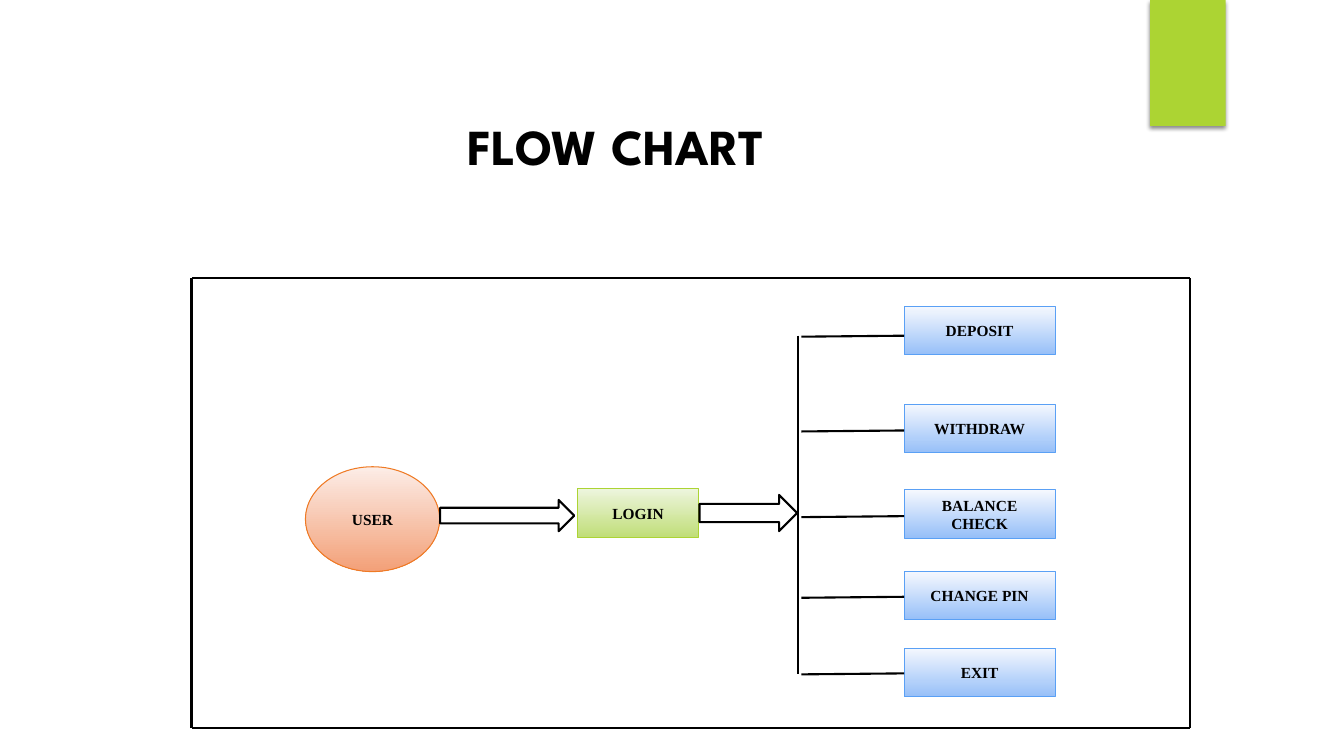
"""Build the flow chart slide: a user logs in and picks one of five actions."""
from dataclasses import dataclass
from itertools import pairwise

from lxml.etree import SubElement
from pptx import Presentation
from pptx.dml.color import RGBColor
from pptx.enum.shapes import MSO_CONNECTOR as Connector, MSO_SHAPE as Shape
from pptx.enum.text import MSO_ANCHOR as Anchor, PP_ALIGN as Align
from pptx.oxml.ns import qn
from pptx.util import Pt


@dataclass(frozen=True)
class Theme:
    """Colours, fonts and sizes of the slide."""
    ink: str = "000000"
    paper: str = "FFFFFF"
    accent: str = "ACD433"
    user: tuple = ("FCEDE7", "F3A078", "EF7A24")
    login: tuple = ("EDF5DD", "C0DE78", "ACD433")
    action: tuple = ("F5F8FE", "96BFF8", "5AA0F5")
    title_font: str = "League Spartan"
    label_font: str = "Times New Roman"
    title_size: int = 36
    label_size: int = 11
    thin: float = 0.75
    thick: float = 1.5


theme = Theme()
TITLE = "FLOW CHART"
TITLE_BOX = (90.7, 76.3, 689.8, 55.4)
TITLE_INDENT = 243
TAG_BOX = (821.5, 0, 54, 90)
STEPS = [
    ("USER", Shape.OVAL, (218.2, 333.4, 95.8, 74.9), theme.user),
    ("LOGIN", Shape.RECTANGLE, (412.6, 349.2, 86.4, 34.6), theme.login),
]
ARROWS = [(314.4, 357.1, 95.8, 22.3), (499.7, 353.5, 69.8, 25.9)]
ACTIONS = [
    ("DEPOSIT", 218.9, 240.5),
    ("WITHDRAW", 288.7, 308.2),
    ("BALANCE CHECK", 349.9, 369.4),
    ("CHANGE PIN", 408.2, 427),
    ("EXIT", 463, 481.7),
]
ACTION_LEFT, ACTION_WIDTH, ACTION_HEIGHT = 645.8, 108, 34.6
TRUNK_X, BRANCH_X, BRANCH_RISE = 570.2, 572.4, 0.7
FRAME_LEFT, FRAME_TOP, FRAME_RIGHT, FRAME_BOTTOM = 136.8, 198.7, 850.3, 519.8


def colour(code):
    return RGBColor.from_string(code)


def apply(target, values):
    for name, value in values.items():
        setattr(target, name, value)


def write(shape, text, font, size, align, **frame_values):
    frame = shape.text_frame
    apply(frame, {"word_wrap": True, "vertical_anchor": Anchor.MIDDLE, **frame_values})
    para = frame.paragraphs[0]
    para.alignment = align
    span = para.add_run()
    span.text = text
    apply(span.font, {"name": font, "size": Pt(size), "bold": True})
    span.font.color.rgb = colour(theme.ink)


def add_shape(kind, box, fill, line=None, width=theme.thin):
    shape = page.shapes.add_shape(kind, *map(Pt, box))
    shape.shadow.inherit = False
    if isinstance(fill, str):
        shape.fill.solid()
        shape.fill.fore_color.rgb = colour(fill)
    else:
        shape.fill.gradient()
        shape.fill.gradient_angle = 270
        for stop, code in zip(shape.fill.gradient_stops, fill):
            stop.color.rgb = colour(code)
    if line:
        shape.line.color.rgb = colour(line)
        shape.line.width = Pt(width)
    else:
        shape.line.fill.background()
    return shape


def add_step(text, kind, box, colours):
    top, bottom, edge = colours
    shape = add_shape(kind, box, (top, bottom), edge)
    write(shape, text, theme.label_font, theme.label_size, Align.CENTER)


def add_line(start, end):
    line = page.shapes.add_connector(Connector.STRAIGHT, *map(Pt, (*start, *end)))
    line.line.color.rgb = colour(theme.ink)
    line.line.width = Pt(theme.thick)
    SubElement(line._element.spPr, qn("a:effectLst"))


def add_tag():
    tag = add_shape(Shape.RECTANGLE, TAG_BOX, theme.accent)
    effects = tag._element.spPr.find(qn("a:effectLst"))
    shadow = SubElement(effects, qn("a:outerShdw"), blurRad=str(Pt(3)),
                        dist=str(Pt(2)), dir="5400000", rotWithShape="0")
    shade = SubElement(shadow, qn("a:srgbClr"), val=theme.ink)
    SubElement(shade, qn("a:alpha"), val="45000")


deck = Presentation()
apply(deck, {"slide_width": Pt(960), "slide_height": Pt(540)})
page = deck.slides.add_slide(deck.slide_layouts[5])

title = page.shapes.title
apply(title, dict(zip(("left", "top", "width", "height"), map(Pt, TITLE_BOX))))
write(title, TITLE, theme.title_font, theme.title_size, Align.LEFT,
      margin_left=Pt(TITLE_INDENT))

add_tag()
for step in STEPS:
    add_step(*step)
for box in ARROWS:
    add_shape(Shape.RIGHT_ARROW, box, theme.paper, theme.ink, theme.thick)

add_line((TRUNK_X, ACTIONS[0][2] - BRANCH_RISE), (TRUNK_X, ACTIONS[-1][2]))
for text, top, branch_y in ACTIONS:
    add_step(text, Shape.RECTANGLE, (ACTION_LEFT, top, ACTION_WIDTH, ACTION_HEIGHT),
             theme.action)
    add_line((BRANCH_X, branch_y), (ACTION_LEFT, branch_y - BRANCH_RISE))

corners = [(FRAME_LEFT, FRAME_TOP), (FRAME_LEFT, FRAME_BOTTOM),
           (FRAME_RIGHT, FRAME_BOTTOM), (FRAME_RIGHT, FRAME_TOP)]
for start, end in pairwise([*corners, corners[0]]):
    add_line(start, end)

deck.save("out.pptx")
